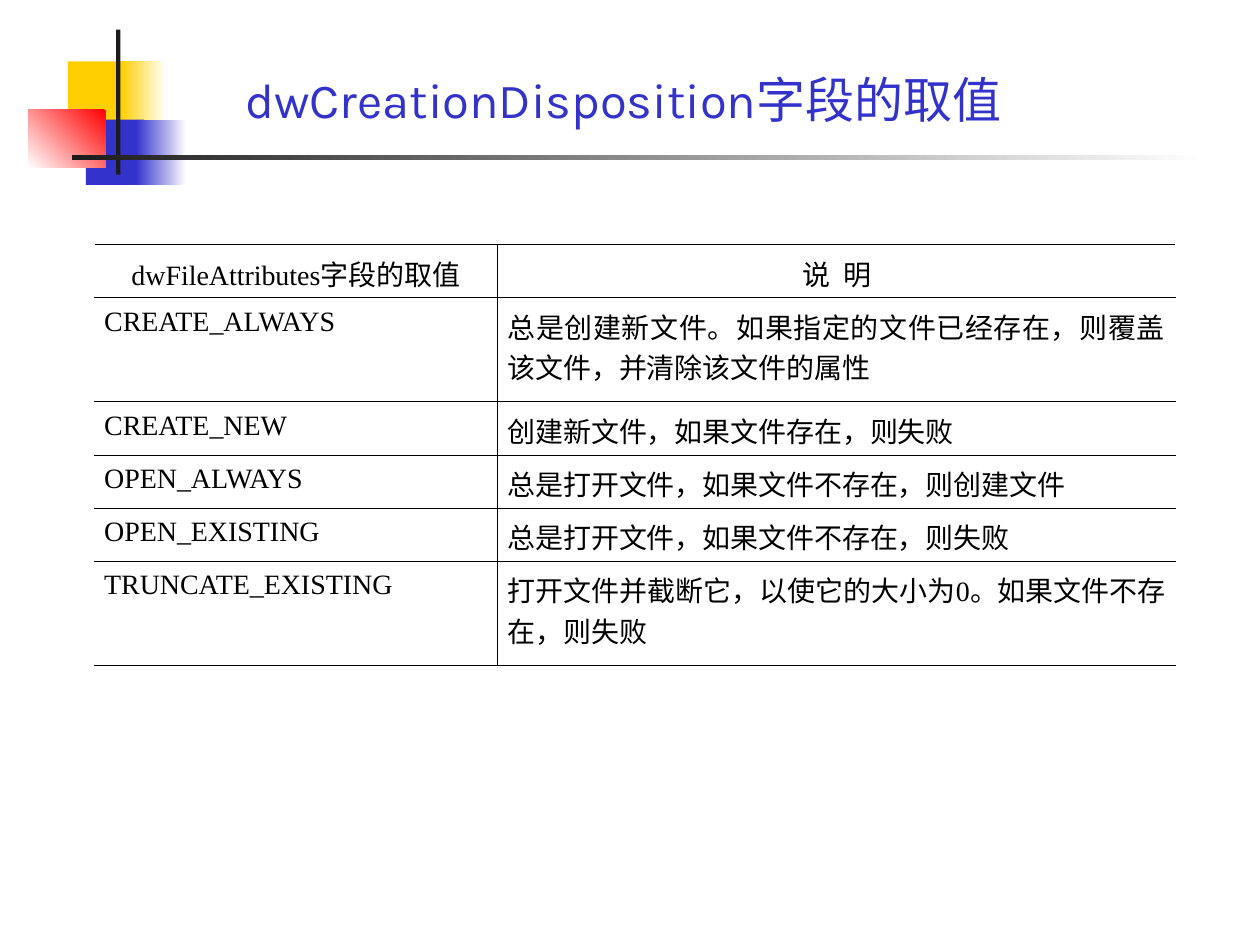
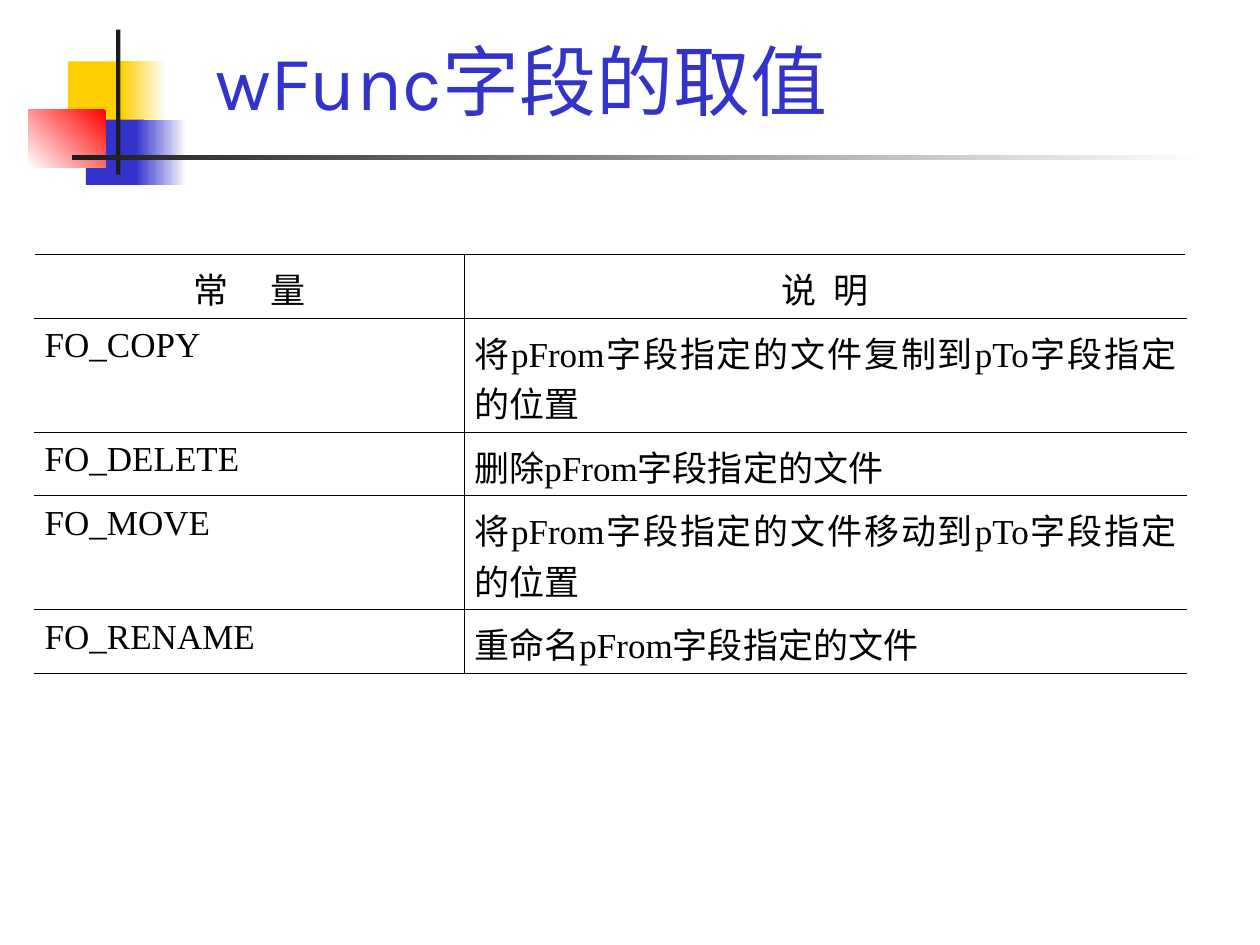
from lxml.etree import SubElement
from pptx import Presentation
from pptx.dml.color import RGBColor
from pptx.enum.shapes import MSO_SHAPE
from pptx.enum.text import MSO_ANCHOR, PP_ALIGN
from pptx.oxml.ns import qn
from pptx.util import Cm, Pt

YELLOW = RGBColor(0xFF, 0xCF, 0x01)
BLUE = RGBColor(0x33, 0x33, 0xCC)
RED = RGBColor(0xFF, 0x00, 0x00)
DARK = RGBColor(0x1C, 0x1C, 0x1C)
BLACK = RGBColor(0x00, 0x00, 0x00)
WHITE = RGBColor(0xFF, 0xFF, 0xFF)
TITLE_FONT = "Karla"
TABLE_FONT = "Times New Roman"

DISPOSITIONS = [
    ("dwFileAttributes字段的取值", "说 明"),
    ("CREATE_ALWAYS", "总是创建新文件。如果指定的文件已经存在，则覆盖该文件，并清除该文件的属性"),
    ("CREATE_NEW", "创建新文件，如果文件存在，则失败"),
    ("OPEN_ALWAYS", "总是打开文件，如果文件不存在，则创建文件"),
    ("OPEN_EXISTING", "总是打开文件，如果文件不存在，则失败"),
    ("TRUNCATE_EXISTING", "打开文件并截断它，以使它的大小为0。如果文件不存在，则失败"),
]
FILE_OPERATIONS = [
    ("常 量", "说 明"),
    ("FO_COPY", "将pFrom字段指定的文件复制到pTo字段指定的位置"),
    ("FO_DELETE", "删除pFrom字段指定的文件"),
    ("FO_MOVE", "将pFrom字段指定的文件移动到pTo字段指定的位置"),
    ("FO_RENAME", "重命名pFrom字段指定的文件"),
]


def add_block(s, left, top, width, height, color, end=None, angle=180):
    """Add a borderless rectangle, solid or fading from color to end."""
    sp = s.shapes.add_shape(MSO_SHAPE.RECTANGLE, Cm(left), Cm(top), Cm(width), Cm(height))
    sp.shadow.inherit = False
    sp.line.fill.background()
    if end is None:
        sp.fill.solid()
        sp.fill.fore_color.rgb = color
        return
    sp.fill.gradient()
    sp.fill.gradient_angle = angle
    for stop, rgb in zip(sp.fill.gradient_stops, (color, end)):
        stop.color.rgb = rgb


def add_decoration(s):
    """Draw the coloured blocks and crossing bars shared by the slides."""
    add_block(s, 1.37, 1.24, 1.22, 1.32, YELLOW)
    add_block(s, 2.44, 1.24, 0.91, 1.32, WHITE, YELLOW)
    add_block(s, 1.73, 2.41, 1.17, 1.32, BLUE)
    add_block(s, 2.74, 2.41, 1.02, 1.32, WHITE, BLUE)
    add_block(s, 0.58, 2.21, 1.55, 1.17, RED, WHITE, 225)
    add_block(s, 2.34, 0.6, 0.09, 2.92, DARK)
    add_block(s, 1.45, 3.13, 22.86, 0.09, WHITE, DARK)


def add_title(s, text, left, top, width, size):
    """Add the slide title, centred vertically in its box."""
    tf = s.shapes.add_textbox(Cm(left), Cm(top), Cm(width), Cm(2.16)).text_frame
    tf.word_wrap = True
    tf.vertical_anchor = MSO_ANCHOR.MIDDLE
    p = tf.paragraphs[0]
    p.text = text
    p.font.name, p.font.size, p.font.color.rgb = TITLE_FONT, Pt(size), BLUE


def set_borders(cell, sides):
    """Rule the given sides of a cell with a thin black line."""
    tc_pr = cell._tc.get_or_add_tcPr()
    for side in sides:
        ln = SubElement(tc_pr, qn(f"a:ln{side}"), w=str(Pt(0.45)))
        fill = SubElement(ln, qn("a:solidFill"))
        SubElement(fill, qn("a:srgbClr"), val=str(BLACK))


def fill_cell(cell, text, size, align, sides):
    """Write one table cell and give it its rules."""
    set_borders(cell, sides)
    cell.fill.background()
    cell.margin_left = cell.margin_right = Cm(0.2)
    cell.margin_top, cell.margin_bottom = Cm(0.17), Cm(0.13)
    p = cell.text_frame.paragraphs[0]
    p.text = text
    p.alignment = align
    p.space_after = Pt(1.2)
    p.font.name, p.font.size, p.font.color.rgb = TABLE_FONT, Pt(size), BLACK


def add_value_table(s, values, left, top, widths, heights, size, tracking):
    """Add a two-column table; tracking spreads the header letters in points."""
    shape = s.shapes.add_table(len(values), len(widths), Cm(left), Cm(top),
                               Cm(sum(widths)), Cm(sum(heights)))
    table = shape.table
    table.first_row = table.horz_banding = False
    for column, width in zip(table.columns, widths):
        column.width = Cm(width)
    for i, (texts, height) in enumerate(zip(values, heights)):
        table.rows[i].height = Cm(height)
        align = PP_ALIGN.JUSTIFY if i else PP_ALIGN.CENTER
        for j, (text, sides) in enumerate(zip(texts, ("RTB", "LTB"))):
            fill_cell(table.cell(i, j), text, size, align, sides)
    for j, points in enumerate(tracking):
        r = table.cell(0, j).text_frame.paragraphs[0].runs[0]
        r.font._element.set("spc", str(int(points * 100)))


def add_value_slide(prs, title, table):
    """Add a decorated slide with a title and a table of values."""
    s = prs.slides.add_slide(prs.slide_layouts[6])
    add_decoration(s)
    add_title(s, *title)
    add_value_table(s, *table)


def main():
    """Build and save the presentation."""
    prs = Presentation()
    prs.slide_width, prs.slide_height = Cm(25.4), Cm(19.05)
    low, high = 1.07, 2.1
    add_value_slide(
        prs, ("dwCreationDisposition字段的取值", 4.7, 0.91, 15.8, 28),
        (DISPOSITIONS, 1.9, 4.93, (8.13, 13.67), (low, high, low, low, low, high), 16, (0, 2)))
    low, high = 1.28, 2.3
    add_value_slide(
        prs, ("wFunc字段的取值", 4.09, 0.53, 15.24, 44),
        (FILE_OPERATIONS, 0.7, 5.13, (8.66, 14.55), (low, high, low, high, low), 20, (10, 2.5)))
    prs.save("out.pptx")


if __name__ == "__main__":
    main()
